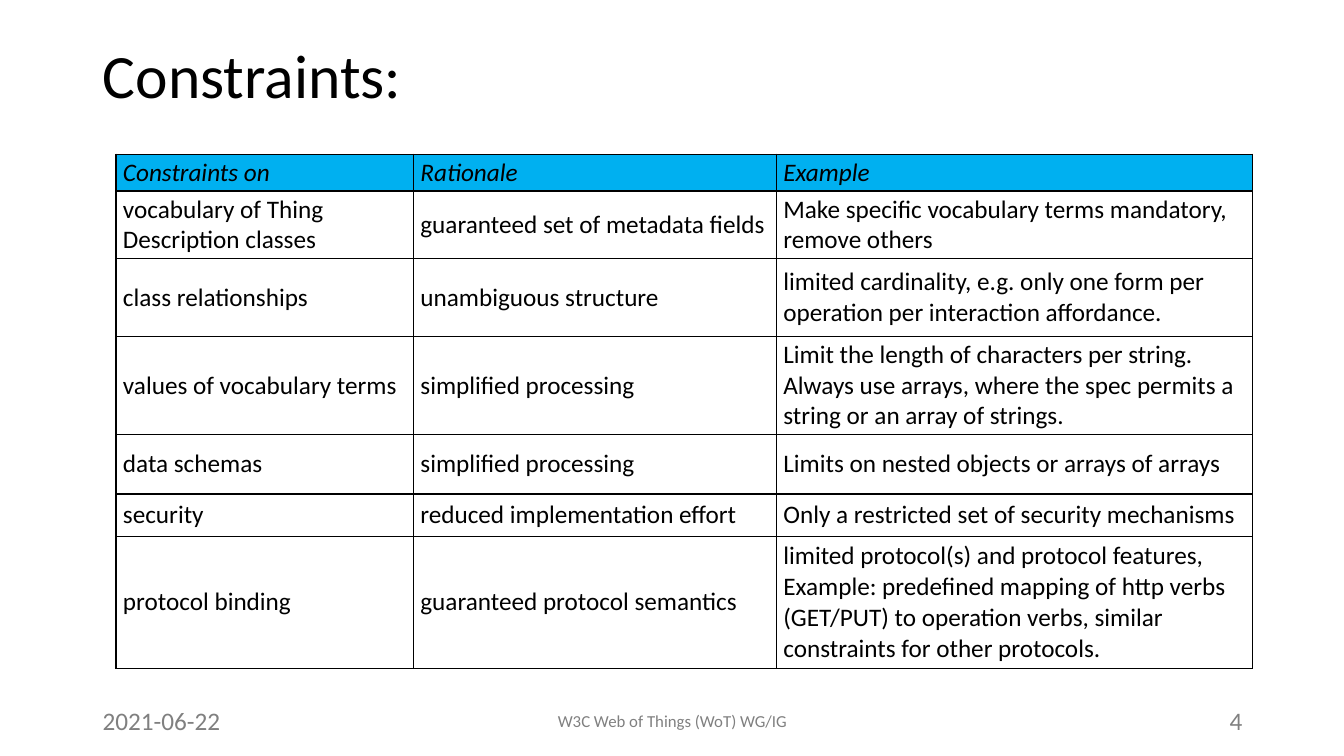
import pptx
import pptx.dml.color
import pptx.enum.text
import pptx.oxml
import pptx.oxml.ns
import pptx.util
from pptx.util import Inches

# Content
TITLE = "Constraints:"
ROWS = [
    ("Constraints on", "Rationale", "Example"),
    ("vocabulary of Thing Description classes", "guaranteed set of metadata fields",
     "Make specific vocabulary terms mandatory, remove others"),
    ("class relationships", "unambiguous structure",
     "limited cardinality, e.g. only one form per operation per interaction affordance."),
    ("values of vocabulary terms", "simplified processing",
     "Limit the length of characters per string. Always use arrays, "
     "where the spec permits a string or an array of strings."),
    ("data schemas", "simplified processing", "Limits on nested objects or arrays of arrays"),
    ("security", "reduced implementation effort",
     "Only a restricted set of security mechanisms"),
    ("protocol binding", "guaranteed protocol semantics",
     "limited protocol(s) and protocol features, Example: predefined mapping of http verbs "
     "(GET/PUT) to operation verbs, similar constraints for other protocols."),
]
COL_WIDTHS = [2.95, 3.6, 4.72]
ROW_HEIGHTS = [0.24, 0.59, 0.77, 0.95, 0.59, 0.42, 1.31]
ALIGN = pptx.enum.text.PP_ALIGN
ANCHOR = pptx.enum.text.MSO_ANCHOR
# text, left, width, size, alignment
FOOTERS = [
    ("2021-06-22", 0.92, 3, 18, ALIGN.LEFT),
    ("W3C Web of Things (WoT) WG/IG", 4.42, 4.5, 12, ALIGN.CENTER),
    ("4", 9.42, 3, 18, ALIGN.RIGHT),
]
BLACK, GREY, BLUE = "000000", "808080", "00B0F0"


def rgb(color):
    return pptx.dml.color.RGBColor.from_string(color)


def write(tf, text, size=18, color=BLACK, italic=False, align=ALIGN.LEFT,
          anchor=ANCHOR.MIDDLE, spacing=None):
    tf.word_wrap = True
    tf.vertical_anchor = anchor
    p = tf.paragraphs[0]
    p.alignment = align
    p.line_spacing = spacing
    r = p.add_run()
    r.text = text
    r.font.name = "Calibri"
    r.font.size = pptx.util.Pt(size)
    r.font.italic = italic
    r.font.color.rgb = rgb(color)


def add_borders(cell, color=BLACK, width=1):
    tcPr = cell._tc.get_or_add_tcPr()
    for i, side in enumerate(("lnL", "lnR", "lnT", "lnB")):
        tcPr.insert(i, pptx.oxml.parse_xml(
            f'<a:{side} {pptx.oxml.ns.nsdecls("a")} w="{pptx.util.Pt(width)}">'
            f'<a:solidFill><a:srgbClr val="{color}"/></a:solidFill></a:{side}>'))


prs = pptx.Presentation()
prs.slide_width, prs.slide_height = Inches(13.33), Inches(7.5)
s = prs.slides.add_slide(prs.slide_layouts[5])

# Title
title = s.shapes.title
title.left, title.top = Inches(0.92), Inches(0.4)
title.width, title.height = Inches(11.5), Inches(1.45)
title.text_frame.auto_size = pptx.enum.text.MSO_AUTO_SIZE.NONE
write(title.text_frame, TITLE, size=44, anchor=ANCHOR.TOP, spacing=0.9)

# Table
table = s.shapes.add_table(len(ROWS), len(COL_WIDTHS), Inches(1.15), Inches(1.53),
                           Inches(sum(COL_WIDTHS)), Inches(sum(ROW_HEIGHTS))).table
table.horz_banding = False
for column, width in zip(table.columns, COL_WIDTHS):
    column.width = Inches(width)
for i, (row, height) in enumerate(zip(table.rows, ROW_HEIGHTS)):
    row.height = Inches(height)
    header = i == 0
    for cell, text in zip(row.cells, ROWS[i]):
        cell.margin_left = cell.margin_right = Inches(0.07)
        cell.margin_top = cell.margin_bottom = Inches(0.03)
        cell.vertical_anchor = ANCHOR.MIDDLE
        if header:
            cell.fill.solid()
            cell.fill.fore_color.rgb = rgb(BLUE)
        else:
            cell.fill.background()
        add_borders(cell)
        write(cell.text_frame, text, italic=header)
        cell.text_frame.paragraphs[0].runs[0].font.bold = False

# Footer line
for text, left, width, size, align in FOOTERS:
    sp = s.shapes.add_textbox(Inches(left), Inches(6.95), Inches(width), Inches(0.4))
    write(sp.text_frame, text, size=size, color=GREY, align=align)

prs.save("out.pptx")
